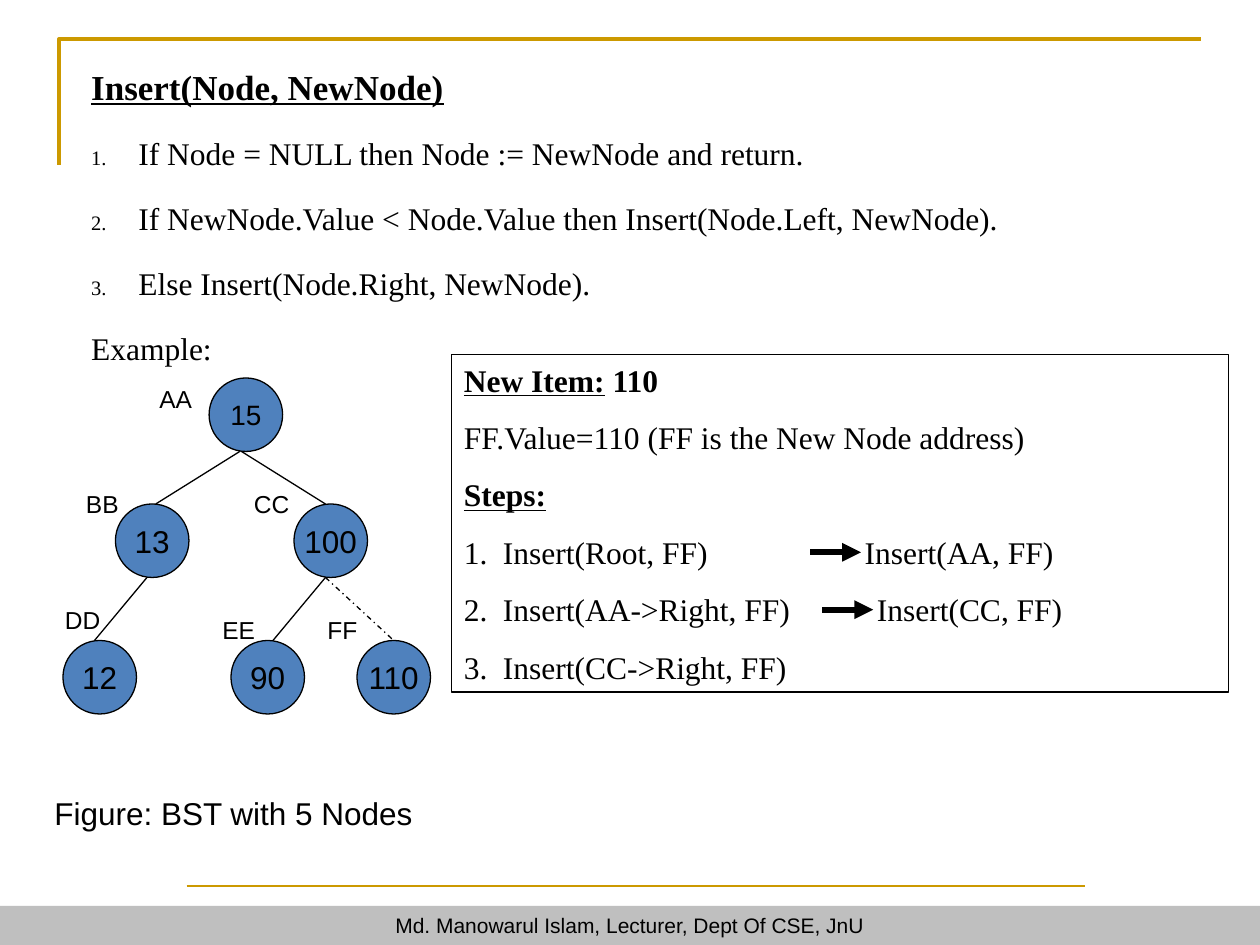
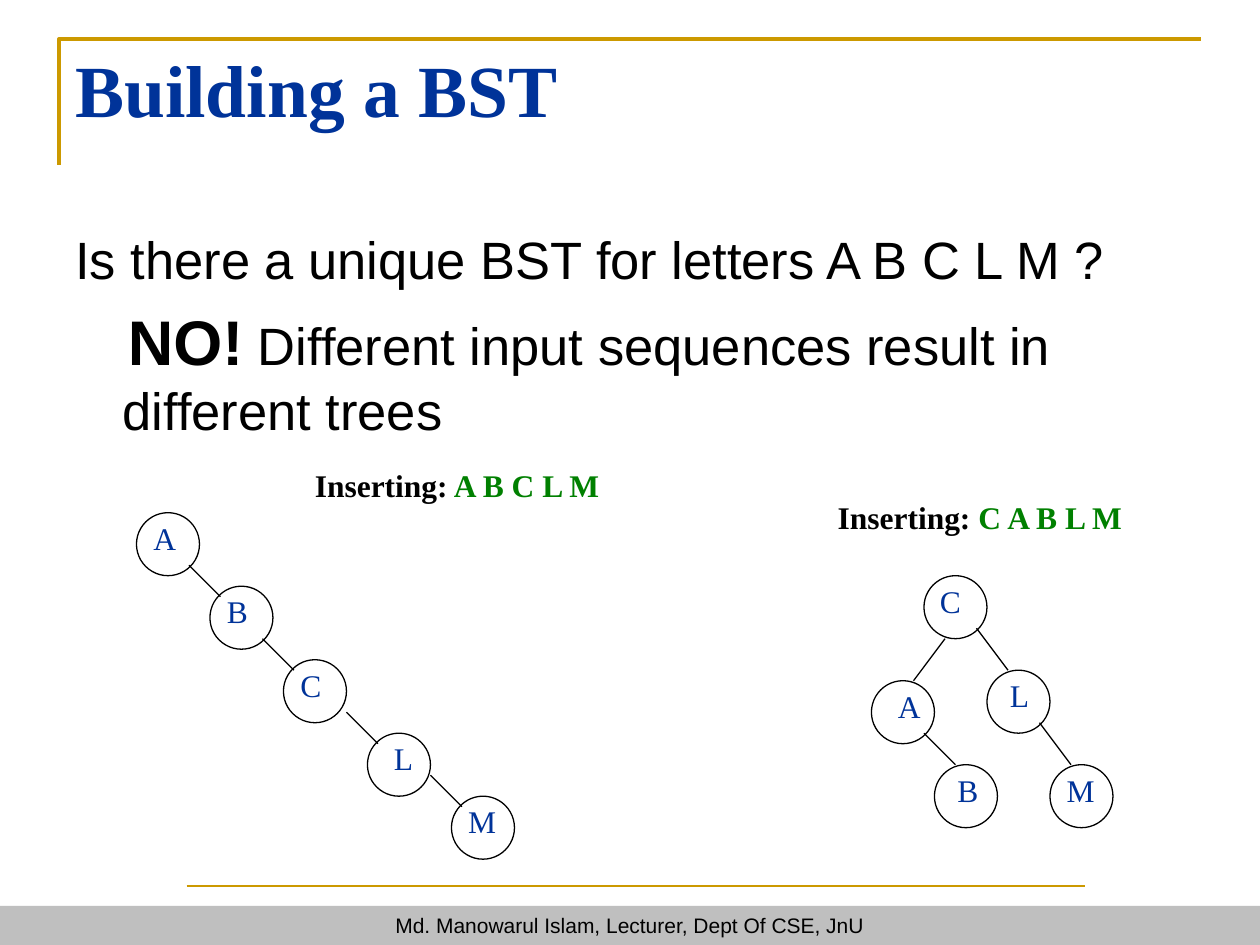
from lxml import etree
from pptx import Presentation
from pptx.dml.color import RGBColor
from pptx.enum.dml import MSO_LINE
from pptx.enum.shapes import MSO_CONNECTOR, MSO_SHAPE
from pptx.enum.text import MSO_ANCHOR, PP_ALIGN
from pptx.oxml.ns import qn
from pptx.util import Pt

STRAIGHT = MSO_CONNECTOR.STRAIGHT
OVAL, RECTANGLE = MSO_SHAPE.OVAL, MSO_SHAPE.RECTANGLE
DASH_DOT = MSO_LINE.DASH_DOT
TOP, MIDDLE = MSO_ANCHOR.TOP, MSO_ANCHOR.MIDDLE
LEFT, CENTER = PP_ALIGN.LEFT, PP_ALIGN.CENTER

BLACK, GOLD, GRAY = "000000", "CC9900", "BFBFBF"
BLUE, NAVY, GREEN = "4F81BD", "003399", "008000"
SANS, SERIF = "Arial", "Times New Roman"

LETTER_WIDTHS = {"A": 27.4, "B": 26, "C": 26, "L": 25.4, "M": 30.4}


def color(value):
    """Turn a hex string into a colour."""
    return RGBColor.from_string(value)


def font(name, size, tint=BLACK, **styles):
    """Describe the format of a span."""
    return {"name": name, "size": Pt(size), "tint": tint, **styles}


def add_child(parent, tag, **attributes):
    """Append a drawing element with its attributes."""
    values = {key: str(value) for key, value in attributes.items()}
    return etree.SubElement(parent, qn(tag), values)


def add_number(properties, percent):
    """Give a paragraph an automatic number of a relative size."""
    add_child(add_child(properties, "a:buClr"), "a:srgbClr", val=BLACK)
    add_child(properties, "a:buSzPct", val=percent * 1000)
    add_child(properties, "a:buAutoNum", type="arabicPeriod")


def write(frame, paragraphs):
    """Fill a text frame with (spans, layout) paragraphs."""
    for index, (spans, layout) in enumerate(paragraphs):
        para = frame.add_paragraph() if index else frame.paragraphs[0]
        layout = {"alignment": LEFT, **layout}
        if not index:
            layout.pop("space_before", None)
        margin, indent = layout.pop("indents", (0, 0))
        properties = para._p.get_or_add_pPr()
        properties.set("marL", str(Pt(margin)))
        properties.set("indent", str(Pt(indent)))
        percent = layout.pop("number_percent", None)
        if percent:
            add_number(properties, percent)
        for name, value in layout.items():
            setattr(para, name, value)
        for text, styles in spans:
            span = para.add_run()
            span.text = text
            for name, value in styles.items():
                if name == "tint":
                    span.font.color.rgb = color(value)
                else:
                    setattr(span.font, name, value)


def add_text(page, box, paragraphs, wrap=True):
    """Place a text box."""
    frame = page.shapes.add_textbox(*map(Pt, box)).text_frame
    frame.word_wrap = wrap
    write(frame, paragraphs)


def set_line(line, tint, width):
    """Colour a line and set its width."""
    line.color.rgb = color(tint)
    line.width = Pt(width)


def add_shape(page, kind, box, fill=None, outline=None):
    """Place a preset shape with an optional fill and outline."""
    shape = page.shapes.add_shape(kind, *map(Pt, box))
    shape.shadow.inherit = False
    if fill:
        shape.fill.solid()
        shape.fill.fore_color.rgb = color(fill)
    else:
        shape.fill.background()
    if outline:
        set_line(shape.line, outline, 0.75)
    else:
        shape.line.fill.background()
    return shape


def add_line(page, ends, tint=BLACK, width=0.75):
    """Place a straight connector without shadow."""
    connector = page.shapes.add_connector(STRAIGHT, *map(Pt, ends))
    set_line(connector.line, tint, width)
    add_child(connector._element.spPr, "a:effectLst")
    return connector


def add_edge(page, left, top, edge):
    """Join a node at left, top to its parent."""
    dx, dy, run, rise = edge
    x, y = left + dx, top + dy
    return add_line(page, (x + run, y + rise, x, y))


def add_page(deck):
    """Add a page with the gold frame, lower rule and footer band."""
    page = deck.slides.add_slide(deck.slide_layouts[6])
    band = add_shape(page, RECTANGLE, (0, 517.7, 720, 22.3), GRAY)
    band.text_frame.vertical_anchor = TOP
    credit = "Md. Manowarul Islam, Lecturer, Dept Of CSE, JnU"
    write(band.text_frame, [([(credit, font(SANS, 12))], {"alignment": CENTER})])
    builder = page.shapes.build_freeform(Pt(33.8), Pt(94.3), scale=1.0)
    corner = [(Pt(33.8), Pt(22.3)), (Pt(686.2), Pt(22.3))]
    builder.add_line_segments(corner, close=False)
    frame = builder.convert_to_shape()
    frame.shadow.inherit = False
    frame.fill.background()
    set_line(frame.line, GOLD, 2)
    add_line(page, (106.6, 506.2, 619.9, 506.2), GOLD, 1)
    return page


def add_algorithm(page, box):
    """Write the insertion algorithm."""
    layout = {"indents": (27, -27), "line_spacing": 1.2, "space_before": Pt(11.2)}
    body = font(SERIF, 18)
    steps = [
        "If Node = NULL then Node := NewNode and return.",
        "If NewNode.Value < Node.Value then Insert(Node.Left, NewNode).",
        "Else Insert(Node.Right, NewNode).",
    ]
    heading = font(SERIF, 20, bold=True, underline=True)
    add_text(page, box, [
        ([("Insert(Node, NewNode)", heading)], layout),
        *[([(step, body)], {**layout, "number_percent": 65}) for step in steps],
        ([("Example:", body)], layout),
    ])


def add_trace(page, box):
    """Show the steps of inserting the new item in a framed panel."""
    left, top = box[:2]
    panel = add_shape(page, RECTANGLE, box, outline=BLACK)
    panel.text_frame.vertical_anchor = TOP
    plain, bold = font(SERIF, 18), font(SERIF, 18, bold=True)
    heading = {**bold, "underline": True}
    gap = {"space_before": Pt(11.2)}
    numbered = {**gap, "indents": (22.3, -22.3), "number_percent": 100}
    calls = ["Insert(Root, FF)", "Insert(AA->Right, FF)", "Insert(CC->Right, FF)"]
    write(panel.text_frame, [
        ([("New Item:", heading), (" 110", bold)], gap),
        ([("FF.Value=110 (FF is the New Node address)", plain)], gap),
        ([("Steps:", heading)], gap),
        *[([(call, plain)], numbered) for call in calls],
    ])
    results = [("Insert(AA, FF)", 229, 98.3), ("Insert(CC, FF)", 236, 131.1)]
    for result, x, y in results:
        x, y = left + x, top + y
        add_text(page, (x, y, 140, 28.8), [([(result, plain)], {})])
        arrow = add_line(page, (x - 24, y + 14.8, x + 5, y + 14.8), width=3.6)
        add_child(arrow.line._get_or_add_ln(), "a:tailEnd", type="triangle")


def add_value_tree(page, left, top):
    """Draw the tree of values with their node addresses."""
    nodes = [
        ("15", 89.5, 0, None),
        ("13", 36, 72, (23, 0, 48, -30)),
        ("100", 138, 72, (18, 0, -48, -30)),
        ("12", 6, 150, (18, 0, 30, -36)),
        ("90", 102, 150, (24, 0, 30, -36)),
        ("110", 174, 150, (21, 0, -39, -36)),
    ]
    addresses = [("AA", 54, 0), ("BB", 12, 60), ("CC", 108, 60),
                 ("DD", 0, 126), ("EE", 90, 132), ("FF", 150, 132)]
    for value, x, y, edge in nodes:
        node = add_shape(page, OVAL, (left + x, top + y, 42, 42), BLUE, BLACK)
        node.text_frame.word_wrap = False
        node.text_frame.vertical_anchor = MIDDLE
        size = 18 if edge else 16
        write(node.text_frame, [([(value, font(SANS, size))], {"alignment": CENTER})])
        if edge:
            link = add_edge(page, left + x, top + y, edge)
            if value == "110":
                link.line.dash_style = DASH_DOT
    for address, x, y in addresses:
        add_text(page, (left + x, top + y, 48, 24.5), [([(address, font(SANS, 14))], {})])


def add_letter_tree(page, left, top, nodes):
    """Draw a tree of letters from (letter, x, y, shift, edge) nodes."""
    for letter, x, y, shift, edge in nodes:
        x, y = left + x, top + y
        add_shape(page, OVAL, (x, y, 36, 36), outline=BLACK)
        box = (x + shift, y, LETTER_WIDTHS[letter], 28.8)
        add_text(page, box, [([(letter, font(SERIF, 18, NAVY))], {})], wrap=False)
        if edge:
            add_edge(page, x, y, edge)


def add_caption(page, box, letters):
    """Name the insertion order of a tree."""
    label = font(SERIF, 18, bold=True)
    spans = [("Inserting:", label), (f" {letters}", {**label, "tint": GREEN})]
    add_text(page, box, [(spans, {})], wrap=False)


def add_question(page, box):
    """Write the question and its answer."""
    body = font(SANS, 30)
    strong = font(SANS, 36, bold=True)
    answer = "Different input sequences result in different trees"
    add_text(page, box, [
        ([("Is there a unique BST for letters A B C L M ?", body)], {"indents": (27, -27)}),
        ([("NO!", strong), (" ", {**body, "bold": True}), (answer, body)],
         {"indents": (27, 3), "space_before": Pt(7.5)}),
    ])


def build_insert_page(deck):
    """Build the page on the insertion algorithm."""
    page = add_page(deck)
    add_algorithm(page, (45, 29, 672, 185))
    add_text(page, (24, 450, 258, 28.8), [([("Figure: BST with 5 Nodes", font(SANS, 18))], {})])
    add_trace(page, (258, 202.5, 444, 193))
    add_value_tree(page, 30, 216)


def build_orders_page(deck):
    """Build the page that compares two insertion orders."""
    page = add_page(deck)
    title = font(SERIF, 42, NAVY, bold=True)
    add_text(page, (36, 21.6, 648, 90), [([("Building a BST", title)], {})])
    add_question(page, (36, 126, 648, 356))
    steep, diagonal = (12, 0, -18, -24), (6, 6, -18, -18)
    add_letter_tree(page, 498, 329, [
        ("C", 30, 0, 2, None),
        ("A", 0, 60, 8, (24, 0, 18, -24)),
        ("B", 36, 108, 6, (12, 0, -18, -18)),
        ("L", 66, 54, 6, steep),
        ("M", 102, 108, 2.5, steep),
    ])
    add_letter_tree(page, 78, 293, [
        ("A", 0, 0, 2.5, None),
        ("B", 42, 42, 2.5, diagonal),
        ("C", 84, 84, 2.5, diagonal),
        ("L", 132, 126, 8, diagonal),
        ("M", 180, 162, 2.5, diagonal),
    ])
    add_caption(page, (172.8, 262.8, 184, 28.8), "A B C L M")
    add_caption(page, (471.6, 280.8, 180, 28.8), "C A B L M")


def main():
    """Build the deck and save it."""
    deck = Presentation()
    deck.slide_width, deck.slide_height = Pt(720), Pt(540)
    build_insert_page(deck)
    build_orders_page(deck)
    deck.save("out.pptx")


if __name__ == "__main__":
    main()
